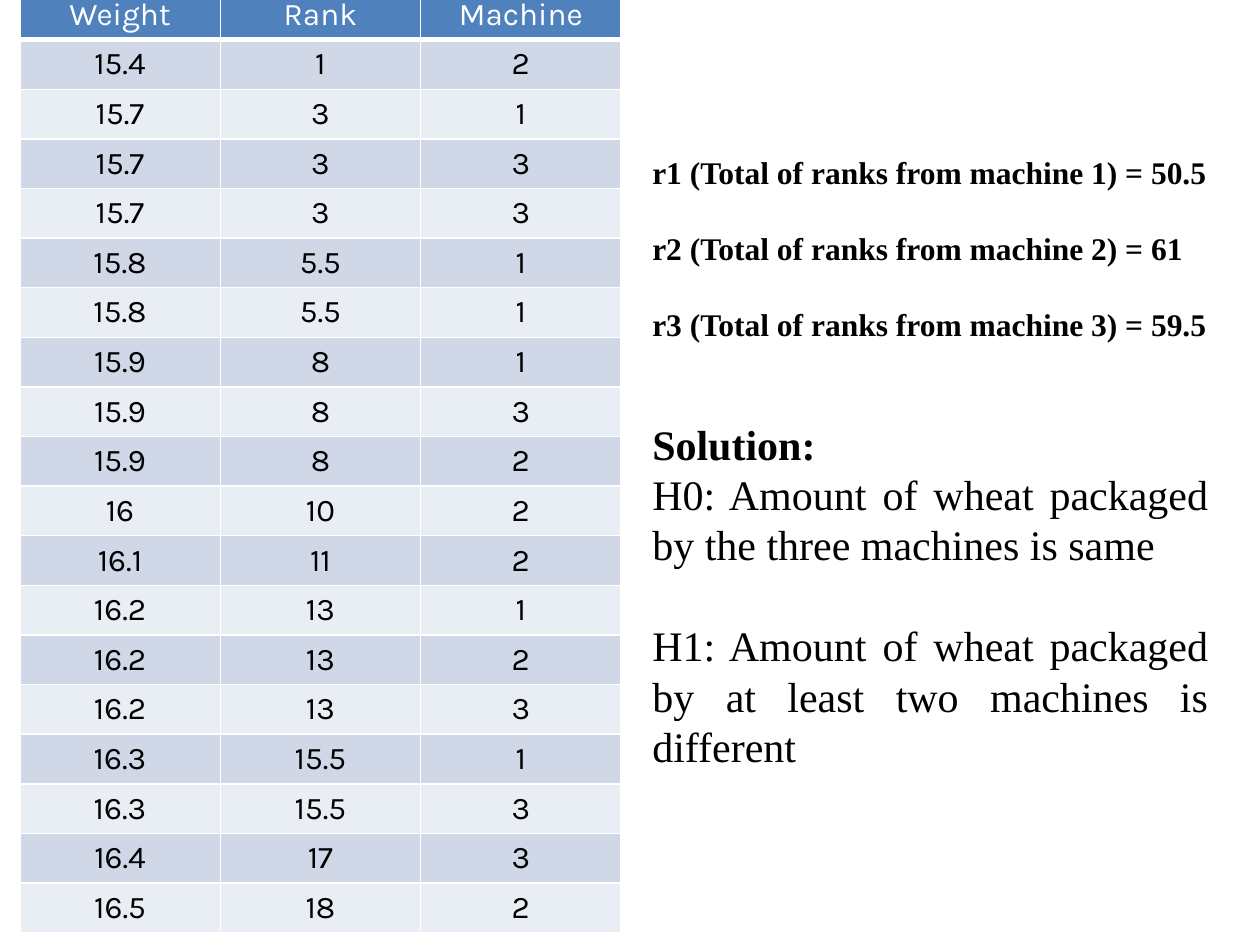
from dataclasses import dataclass

import lxml.etree
import pptx
import pptx.dml.color
import pptx.enum.text
import pptx.oxml.ns
import pptx.util
from pptx.util import Cm

ALIGN = pptx.enum.text.PP_ALIGN


@dataclass(frozen=True)
class Theme:
    header_fill: str = "4F81BD"
    band_fills: tuple[str, str] = ("D0D8E8", "E9EDF4")
    light: str = "FFFFFF"
    dark: str = "000000"
    table_font: str = "Karla"
    text_font: str = "Times New Roman"
    body_size: int = 18
    solution_size: int = 24
    border_width: int = 1
    header_border_width: int = 3


@dataclass(frozen=True)
class Measurement:
    weight: str
    rank: str
    machine: str


@dataclass(frozen=True)
class Statement:
    text: str
    size: int
    bold: bool = True
    align: ALIGN = ALIGN.LEFT
    space_before: float = 0


THEME = Theme()
HEADER = Measurement("Weight", "Rank", "Machine")
MEASUREMENTS = [
    Measurement("15.4", "1", "2"),
    Measurement("15.7", "3", "1"),
    Measurement("15.7", "3", "3"),
    Measurement("15.7", "3", "3"),
    Measurement("15.8", "5.5", "1"),
    Measurement("15.8", "5.5", "1"),
    Measurement("15.9", "8", "1"),
    Measurement("15.9", "8", "3"),
    Measurement("15.9", "8", "2"),
    Measurement("16", "10", "2"),
    Measurement("16.1", "11", "2"),
    Measurement("16.2", "13", "1"),
    Measurement("16.2", "13", "2"),
    Measurement("16.2", "13", "3"),
    Measurement("16.3", "15.5", "1"),
    Measurement("16.3", "15.5", "3"),
    Measurement("16.4", "17", "3"),
    Measurement("16.5", "18", "2"),
]
STATEMENTS = [
    Statement("r1 (Total of ranks from machine 1) = 50.5", THEME.body_size),
    Statement("r2 (Total of ranks from machine 2) = 61", THEME.body_size, space_before=21.6),
    Statement("r3 (Total of ranks from machine 3) = 59.5", THEME.body_size, space_before=21.6),
    Statement("Solution:", THEME.solution_size, align=ALIGN.JUSTIFY, space_before=43.2),
    Statement("H0: Amount of wheat packaged by the three machines is same",
              THEME.solution_size, False, ALIGN.JUSTIFY),
    Statement("H1: Amount of wheat packaged by at least two machines is different",
              THEME.solution_size, False, ALIGN.JUSTIFY, 28.8),
]


def add_run(paragraph, text: str, font_name: str, size: int, color: str, bold: bool = False) -> None:
    run = paragraph.add_run()
    run.text = text
    run.font.name = font_name
    run.font.size = pptx.util.Pt(size)
    run.font.bold = bold
    run.font.color.rgb = pptx.dml.color.RGBColor.from_string(color)


def set_borders(cell, bottom_width: int, top_width: int) -> None:
    properties = cell._tc.get_or_add_tcPr()
    widths = {"lnL": THEME.border_width, "lnR": THEME.border_width,
              "lnT": top_width, "lnB": bottom_width}
    for position, (tag, width) in enumerate(widths.items()):
        line = lxml.etree.Element(pptx.oxml.ns.qn(f"a:{tag}"), w=str(pptx.util.Pt(width)))
        fill = lxml.etree.SubElement(line, pptx.oxml.ns.qn("a:solidFill"))
        lxml.etree.SubElement(fill, pptx.oxml.ns.qn("a:srgbClr"), val=THEME.light)
        properties.insert(position, line)


def add_rank_table(slide) -> None:
    rows = [HEADER, *MEASUREMENTS]
    column_width, row_height = Cm(4.04), Cm(0.97)
    table = slide.shapes.add_table(
        len(rows), 3, Cm(0.4), Cm(-0.2), column_width * 3, row_height * len(rows)).table
    for column in table.columns:
        column.width = column_width
    for index, measurement in enumerate(rows):
        is_header = index == 0
        table.rows[index].height = row_height
        fill = THEME.header_fill if is_header else THEME.band_fills[(index - 1) % 2]
        color = THEME.light if is_header else THEME.dark
        bottom = THEME.header_border_width if is_header else THEME.border_width
        top = THEME.header_border_width if index == 1 else THEME.border_width
        values = (measurement.weight, measurement.rank, measurement.machine)
        for cell, value in zip(table.rows[index].cells, values):
            cell.fill.solid()
            cell.fill.fore_color.rgb = pptx.dml.color.RGBColor.from_string(fill)
            set_borders(cell, bottom, top)
            paragraph = cell.text_frame.paragraphs[0]
            paragraph.alignment = ALIGN.CENTER
            add_run(paragraph, value, THEME.table_font, THEME.body_size, color)


def add_statements(slide) -> None:
    shape = slide.shapes.add_textbox(Cm(12.9), Cm(2.97), Cm(11.71), Cm(13.34))
    frame = shape.text_frame
    frame.word_wrap = True
    for index, statement in enumerate(STATEMENTS):
        paragraph = frame.add_paragraph() if index else frame.paragraphs[0]
        paragraph.alignment = statement.align
        if statement.space_before:
            paragraph.space_before = pptx.util.Pt(statement.space_before)
        add_run(paragraph, statement.text, THEME.text_font, statement.size,
                THEME.dark, statement.bold)


def main() -> None:
    presentation = pptx.Presentation()
    presentation.slide_width = Cm(25.4)
    presentation.slide_height = Cm(19.05)
    slide = presentation.slides.add_slide(presentation.slide_layouts[6])
    add_rank_table(slide)
    add_statements(slide)
    presentation.save("out.pptx")


if __name__ == "__main__":
    main()
